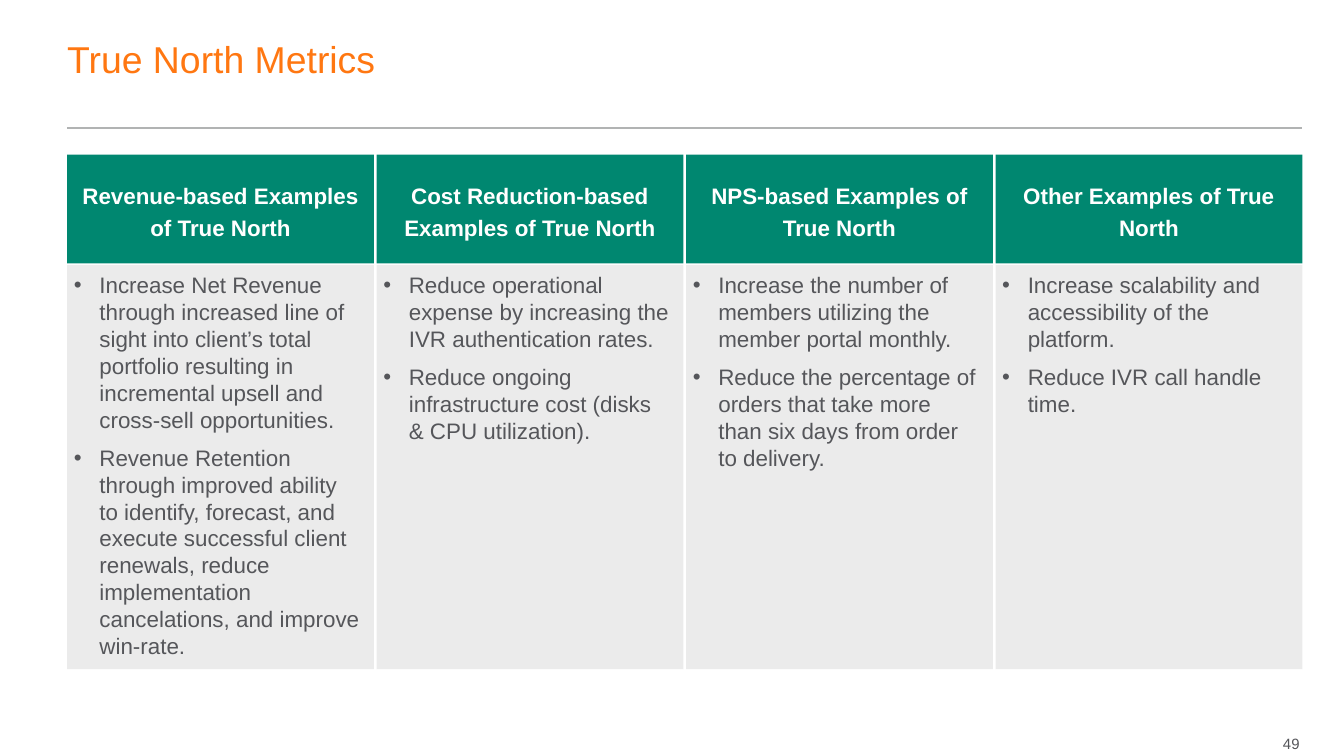
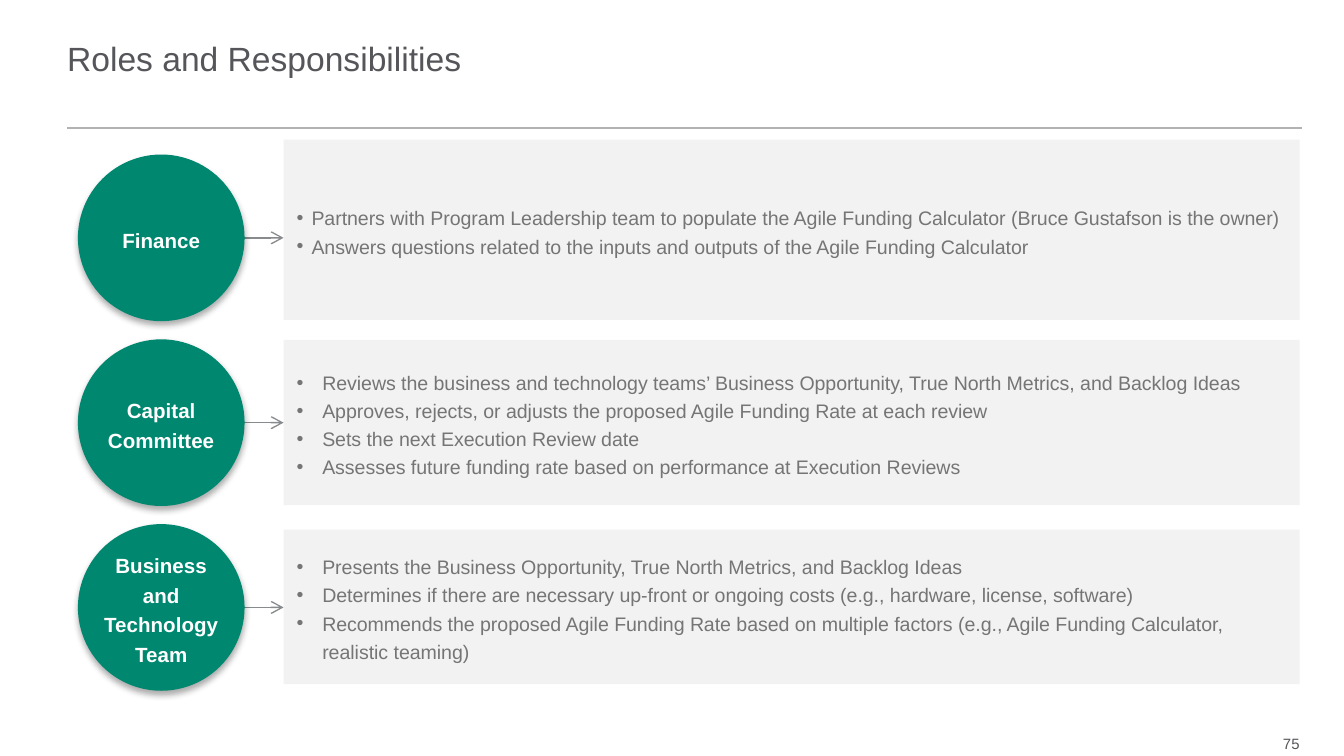
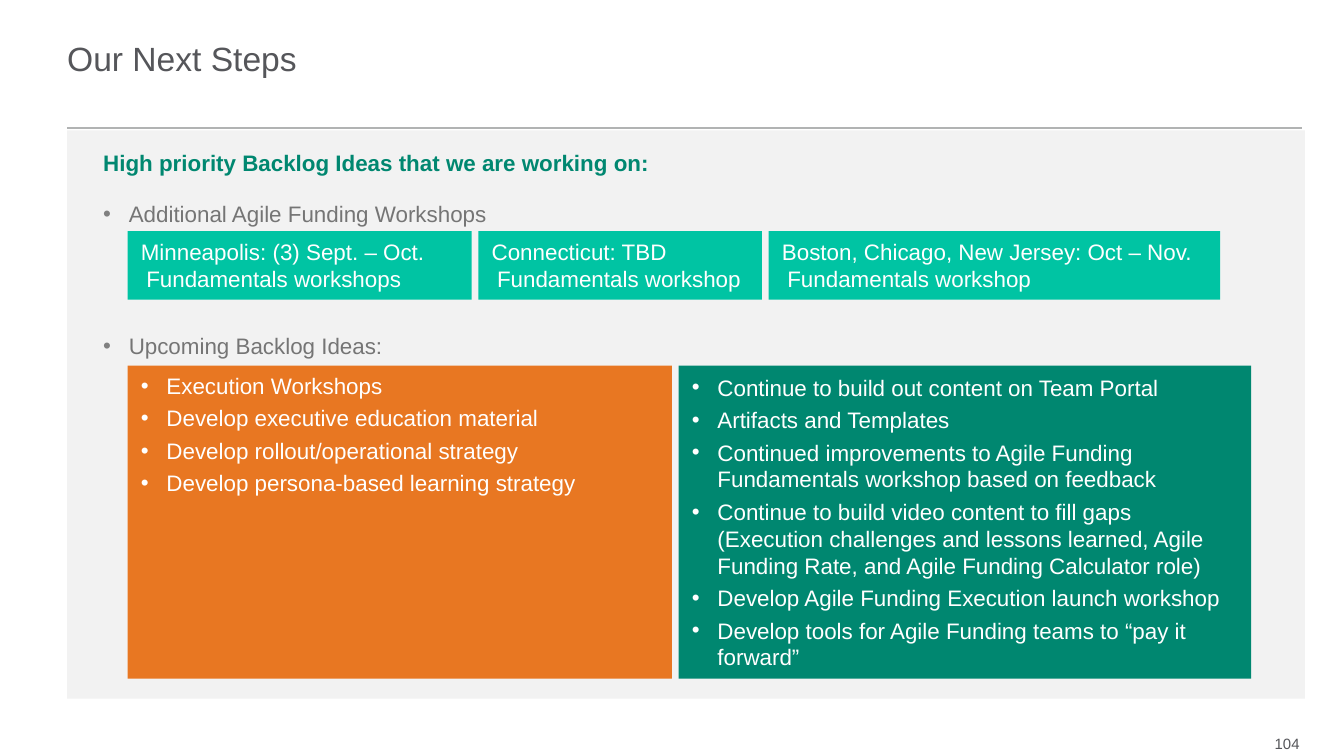
from lxml import etree
from pptx import Presentation
from pptx.dml.color import RGBColor
from pptx.enum.shapes import MSO_CONNECTOR as Connector, MSO_SHAPE as Preset
from pptx.enum.text import MSO_ANCHOR as Anchor, MSO_AUTO_SIZE as AutoSize, PP_ALIGN as Align
from pptx.oxml.ns import qn
from pptx.util import Inches, Pt

WIDTH, HEIGHT = 10, 5.625
LEFT, RIGHT = 0.5, 9.69
FONT = "Arial"
INDENT = 0.19
COLORS = {
    "green": "008770",
    "teal": "00C4A3",
    "orange": "E87722",
    "title_orange": "FF7711",
    "text": "55565A",
    "body": "757575",
    "bullet": "808080",
    "rule": "B1B3B3",
    "arrow": "888B8D",
    "panel": "F2F2F2",
    "cell": "D9D9D9",
    "white": "FFFFFF",
    "black": "000000",
}

METRICS = [
    ("Revenue-based Examples of True North", [
        "Increase Net Revenue through increased line of sight into client’s total portfolio "
        "resulting in incremental upsell and cross-sell opportunities.",
        "Revenue Retention through improved ability to identify, forecast, and execute successful "
        "client renewals, reduce implementation cancelations, and improve win-rate."]),
    ("Cost Reduction-based Examples of True North", [
        "Reduce operational expense by increasing the IVR authentication rates.",
        "Reduce ongoing infrastructure cost (disks & CPU utilization)."]),
    ("NPS-based Examples of True North", [
        "Increase the number of members utilizing the member portal monthly.",
        "Reduce the percentage of orders that take more than six days from order to delivery."]),
    ("Other Examples of True North", [
        "Increase scalability and accessibility of the platform.",
        "Reduce IVR call handle time."]),
]

ROLES = [
    ("Finance", 1.04, 1.34, 0.11, [
        "Partners with Program Leadership team to populate the Agile Funding Calculator "
        "(Bruce Gustafson is the owner)",
        "Answers questions related to the inputs and outputs of the Agile Funding Calculator"]),
    ("Capital Committee", 2.53, 1.23, INDENT, [
        "Reviews the business and technology teams’ Business Opportunity, True North Metrics, "
        "and Backlog Ideas",
        "Approves, rejects, or adjusts the proposed Agile Funding Rate at each review",
        "Sets the next Execution Review date",
        "Assesses future funding rate based on performance at Execution Reviews"]),
    ("Business and Technology Team", 3.94, 1.15, INDENT, [
        "Presents the Business Opportunity, True North Metrics, and Backlog Ideas",
        "Determines if there are necessary up-front or ongoing costs "
        "(e.g., hardware, license, software)",
        "Recommends the proposed Agile Funding Rate based on multiple factors "
        "(e.g., Agile Funding Calculator, realistic teaming)"]),
]

WORKSHOPS = [
    (2.56, "Minneapolis: (3) Sept. – Oct.", "Fundamentals workshops"),
    (2.11, "Connecticut: TBD", "Fundamentals workshop"),
    (3.36, "Boston, Chicago, New Jersey: Oct – Nov.", "Fundamentals workshop"),
]

BACKLOG = [
    (4.05, "orange", Anchor.TOP, [
        "Execution Workshops",
        "Develop executive education material",
        "Develop rollout/operational strategy",
        "Develop persona-based learning strategy"]),
    (4.26, "green", Anchor.MIDDLE, [
        "Continue to build out content on Team Portal",
        "Artifacts and Templates",
        "Continued improvements to Agile Funding Fundamentals workshop based on feedback",
        "Continue to build video content to fill gaps (Execution challenges and lessons learned, "
        "Agile Funding Rate, and Agile Funding Calculator role)",
        "Develop Agile Funding Execution launch workshop",
        "Develop tools for Agile Funding teams to “pay it forward”"]),
]


def rgb(name):
    return RGBColor.from_string(COLORS[name])


def add_bullet(paragraph, indent, color=None):
    properties = paragraph._p.get_or_add_pPr()
    properties.set("marL", str(Inches(indent)))
    properties.set("indent", str(-Inches(indent)))
    if color:
        holder = etree.SubElement(properties, qn("a:buClr"))
        etree.SubElement(holder, qn("a:srgbClr"), val=COLORS[color])
    etree.SubElement(properties, qn("a:buFont"), typeface=FONT)
    etree.SubElement(properties, qn("a:buChar"), char="•")


def write(shape, lines, size, color, bold=False, align=Align.LEFT, anchor=Anchor.MIDDLE,
          insets=(0.1, 0.05, 0.1, 0.05), spacing=None, before=0, after=0,
          indent=None, bullet_color=None):
    frame = shape.text_frame
    frame.text = "\n".join(lines)
    frame.word_wrap = True
    frame.auto_size = AutoSize.NONE
    frame.vertical_anchor = anchor
    frame.margin_left, frame.margin_top, frame.margin_right, frame.margin_bottom = map(Inches, insets)
    for index, paragraph in enumerate(frame.paragraphs):
        paragraph.alignment = align
        if indent:
            add_bullet(paragraph, indent, bullet_color)
        if spacing:
            paragraph.line_spacing = spacing
        if before and index:
            paragraph.space_before = Pt(before)
        if after:
            paragraph.space_after = Pt(after)
        for run in paragraph.runs:
            run.font.name = FONT
            run.font.size = Pt(size)
            run.font.bold = bold
            run.font.color.rgb = rgb(color)


def add_block(slide, left, top, width, height, fill, preset=Preset.RECTANGLE, opacity=None):
    shape = slide.shapes.add_shape(preset, *map(Inches, (left, top, width, height)))
    shape.shadow.inherit = False
    shape.fill.solid()
    shape.fill.fore_color.rgb = rgb(fill)
    shape.line.fill.background()
    if opacity:
        color = shape._element.spPr.find(f"{qn('a:solidFill')}/{qn('a:srgbClr')}")
        etree.SubElement(color, qn("a:alpha"), val=str(opacity * 1000))
    return shape


def add_text(slide, left, top, width, height, lines, size, color, **style):
    box = slide.shapes.add_textbox(*map(Inches, (left, top, width, height)))
    write(box, lines, size, color, **style)


def add_line(slide, start, end, y, color, weight, arrow=False):
    line = slide.shapes.add_connector(
        Connector.STRAIGHT, Inches(start), Inches(y), Inches(end), Inches(y))
    line.line.color.rgb = rgb(color)
    line.line.width = Pt(weight)
    if arrow:
        etree.SubElement(line.line._get_or_add_ln(), qn("a:tailEnd"), type="arrow")
    etree.SubElement(line._element.spPr, qn("a:effectLst"))


def add_circle(slide, left, top, diameter, label):
    circle = add_block(slide, left, top, diameter, diameter, "green", Preset.OVAL)
    effects = circle._element.spPr.find(qn("a:effectLst"))
    shadow = etree.SubElement(effects, qn("a:outerShdw"), blurRad=str(Pt(3.5)), dist=str(Pt(2.2)),
                              dir=str(90 * 60000), rotWithShape="0")
    color = etree.SubElement(shadow, qn("a:srgbClr"), val=COLORS["black"])
    etree.SubElement(color, qn("a:alpha"), val="32000")
    write(circle, [label], 11, "white", bold=True, align=Align.CENTER, spacing=1.2, insets=(0,) * 4)


def start_slide(presentation, title, number, size=18, color="text"):
    slide = presentation.slides.add_slide(presentation.slide_layouts[5])
    heading = slide.shapes.title
    heading.left, heading.top, heading.width, heading.height = map(Inches, (LEFT, 0.07, 7.33, 0.73))
    write(heading, [title], size, color, insets=(0,) * 4)
    add_line(slide, LEFT, RIGHT, 0.95, "rule", 1)
    add_text(slide, 9.25, 5.43, 0.42, 0.2, [str(number)], 8, "text",
             align=Align.RIGHT, insets=(0,) * 4)
    return slide


def build_metrics(presentation):
    slide = start_slide(presentation, "True North Metrics", 49, 20, "title_orange")
    gap, top, header_height, body_height = 0.02, 1.15, 0.81, 3.01
    pitch = (RIGHT - LEFT + gap) / len(METRICS)
    for column, (header, examples) in enumerate(METRICS):
        left = LEFT + column * pitch
        header_cell = add_block(slide, left, top, pitch - gap, header_height, "green")
        write(header_cell, [header], 12, "white", bold=True, align=Align.CENTER,
              spacing=1.2, after=3)
        body_cell = add_block(slide, left, top + header_height + gap / 2, pitch - gap, body_height,
                              "cell", opacity=50)
        write(body_cell, examples, 12, "text", anchor=Anchor.TOP,
              insets=(0.05, 0.05, 0.1, 0.05), before=6, indent=INDENT)


def build_roles(presentation):
    slide = start_slide(presentation, "Roles and Responsibilities", 75)
    circle_left, circle_top, diameter, pitch = 0.58, 1.15, 1.24, 1.375
    panel_left, panel_width = 2.11, 7.56
    for row, (role, panel_top, panel_height, indent, duties) in enumerate(ROLES):
        top = circle_top + row * pitch
        panel = add_block(slide, panel_left, panel_top, panel_width, panel_height, "panel")
        write(panel, duties, 10.5, "body", spacing=1.2, insets=(0.1,) * 4, indent=indent)
        add_line(slide, circle_left + diameter * 0.75, panel_left, top + diameter / 2,
                 "arrow", 0.75, arrow=True)
        add_circle(slide, circle_left, top, diameter, role)


def build_next_steps(presentation):
    slide = start_slide(presentation, "Our Next Steps", 104)
    add_block(slide, LEFT, 0.97, 9.21, 4.23, "panel")
    add_text(slide, 0.67, 1.4, 5, 1.98,
             ["Additional Agile Funding Workshops", "Upcoming Backlog Ideas:"], 12, "body",
             anchor=Anchor.TOP, spacing=1.2, before=53.5, indent=INDENT, bullet_color="bullet")
    add_text(slide, 0.67, 1.06, 4.33, 0.3, ["High priority Backlog Ideas that we are working on:"],
             12, "green", bold=True, anchor=Anchor.TOP)
    box_left, gap = 0.95, 0.05
    left = box_left
    for width, place, workshop in WORKSHOPS:
        box = add_block(slide, left, 1.72, width, 0.51, "teal")
        write(box, [place, workshop], 12, "white")
        box.text_frame.paragraphs[1]._p.get_or_add_pPr().set("marL", str(Inches(0.04)))
        left += width + gap
    left = box_left
    for width, fill, anchor, ideas in BACKLOG:
        box = add_block(slide, left, 2.72, width, 2.33, fill)
        write(box, ideas, 12, "white", anchor=anchor, before=3, indent=INDENT)
        left += width + gap


def main():
    presentation = Presentation()
    presentation.slide_width = Inches(WIDTH)
    presentation.slide_height = Inches(HEIGHT)
    build_metrics(presentation)
    build_roles(presentation)
    build_next_steps(presentation)
    presentation.save("out.pptx")


if __name__ == "__main__":
    main()
